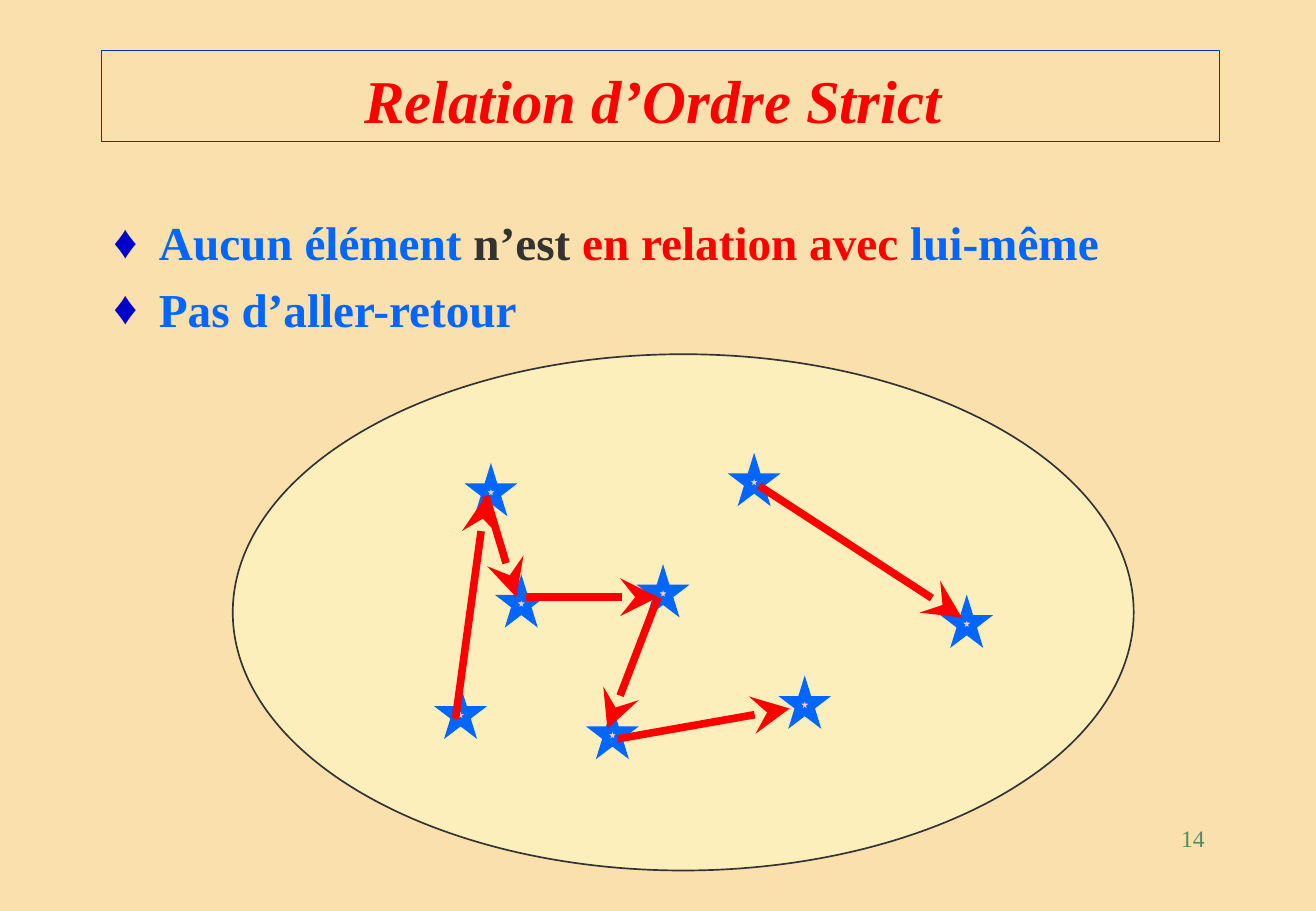
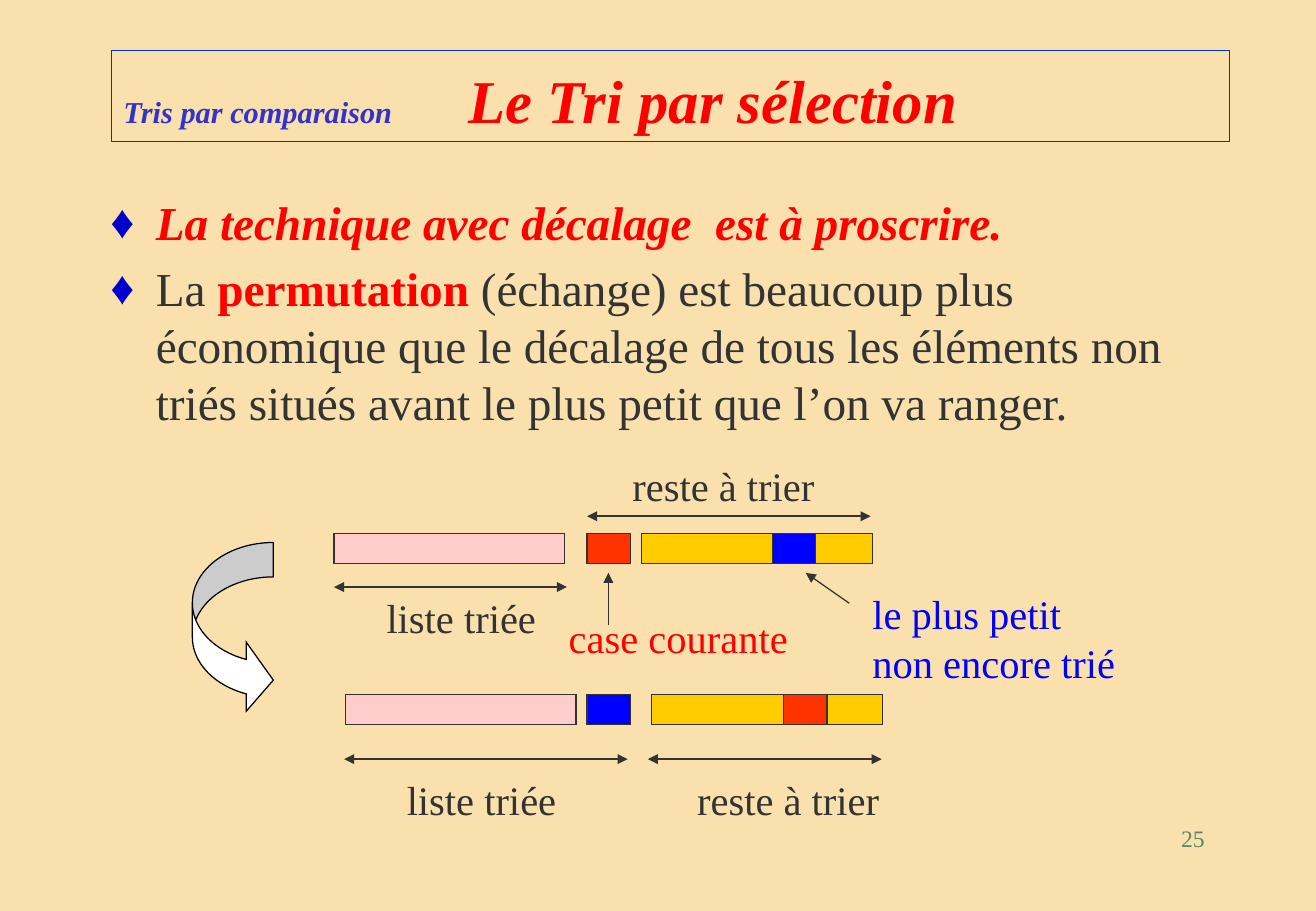
from pptx import Presentation
from pptx.dml.color import RGBColor
from pptx.enum.shapes import MSO_CONNECTOR as Conn, MSO_SHAPE as Shape
from pptx.enum.text import MSO_ANCHOR as Anchor, MSO_AUTO_SIZE as Auto, PP_ALIGN as Align
from pptx.oxml.ns import qn
from pptx.util import Emu, Pt
from lxml.etree import SubElement

PX = 7620  # EMU per px, 120 px to the inch
FONT = "Times New Roman"

SAND = RGBColor(0xF9, 0xE0, 0xAD)
CREAM = RGBColor(0xFF, 0xFF, 0xCC)
PINK = RGBColor(0xFF, 0xCC, 0xCC)
GOLD = RGBColor(0xFF, 0xCC, 0x00)
BRICK = RGBColor(0xFF, 0x33, 0x00)
RED = RGBColor(0xFF, 0x00, 0x00)
BLUE = RGBColor(0x00, 0x00, 0xFF)
SKY = RGBColor(0x00, 0x66, 0xFF)
ROYAL = RGBColor(0x00, 0x33, 0xCC)
INDIGO = RGBColor(0x33, 0x33, 0xCC)
NAVY = RGBColor(0x00, 0x00, 0xCC)
GREEN = RGBColor(0x57, 0x89, 0x63)
DARK = RGBColor(0x33, 0x33, 0x33)
BLACK = RGBColor(0x00, 0x00, 0x00)
WHITE = RGBColor(0xFF, 0xFF, 0xFF)

# Text formats
BOLD = {"bold": True, "italic": False}
BOTH = {"bold": True, "italic": True}
PLAIN = {"bold": False, "italic": False}

# Arrowheads
BARB = {"type": "stealth", "w": "lg", "len": "lg"}
TIP = {"type": "triangle"}

# Slide 1: a relation drawn as arrows between stars
ORDER = {
    "number": "14",
    "title": [("Relation d’Ordre Strict ", 36, RED, BOTH)],
    "align": Align.CENTER,
    "left": 100,
    "body": (100, 205, 1150, 652),
    "list": [
        [("Aucun élément", 28, SKY, BOLD), (" n’est ", 28, DARK, BOLD),
         ("en relation avec ", 28, RED, BOLD), ("lui-même", 28, SKY, BOLD)],
        [("Pas d’aller-retour", 28, SKY, BOLD)],
    ],
}
STARS = [(470, 470), (730, 460), (500, 580), (940, 600),
         (440, 690), (780, 680), (640, 570), (590, 710)]
LINKS = [(480, 490, 510, 590), (520, 590, 650, 590), (650, 590, 600, 720),
         (610, 730, 780, 700), (750, 480, 950, 610), (450, 710, 480, 490)]

# Slide 2: the list before and after the swap
SORT = {
    "number": "25",
    "title": [("Tris par comparaison\t", 18, INDIGO, BOTH),
              ("Le Tri par sélection", 36, RED, BOTH)],
    "align": Align.LEFT,
    "left": 110,
    "body": (97, 185, 1133, 652),
    "list": [
        [("La technique avec décalage  est à proscrire.", 28, RED, BOTH)],
        [("La ", 28, DARK, PLAIN), ("permutation", 28, RED, BOLD),
         (" (échange) est beaucoup plus économique que le décalage de tous "
          "les éléments non triés situés avant le plus petit que l’on va "
          "ranger.", 28, DARK, PLAIN)],
    ],
}
TAB = 341
LONG, CELL, TALL = 228, 43, 30
# top, then (left, width, fill) of each bar
ROWS = [
    (527, [(330, LONG, PINK), (580, CELL, BRICK), (634, LONG, GOLD), (763, CELL, BLUE)]),
    (686, [(341, LONG, PINK), (580, CELL, BLUE), (644, LONG, GOLD), (774, CELL, BRICK)]),
]
SPANS = [(580, 510, 860, 510), (330, 580, 560, 580),
         (340, 750, 620, 750), (640, 750, 871, 750)]
HINTS = [(601, 617, 601, 566), (839, 596, 796, 566)]
LABELS = [
    (["le plus petit", "non encore trié"], (850, 576, 264, 148), BLUE),
    (["liste triée"], (370, 580, 172, 60), DARK),
    (["liste triée"], (390, 760, 172, 60), DARK),
    (["case courante"], (550, 600, 244, 60), RED),
    (["reste à trier"], (677, 760, 204, 60), DARK),
    (["reste à trier"], (613, 450, 204, 60), DARK),
]


def px(*nums):
    return [Emu(n * PX) for n in nums]


def place(item, box):
    for name, val in zip(("left", "top", "width", "height"), px(*box)):
        setattr(item, name, val)


def write(para, runs):
    for text, size, color, style in runs:
        run = para.add_run()
        run.text = text
        for name, val in {"name": FONT, "size": Pt(size), **style}.items():
            setattr(run.font, name, val)
        run.font.color.rgb = color


def stroke(line, color, width):
    line.color.rgb = color
    line.width = Pt(width)


def draw(slide, kind, box, fill, edge, width):
    item = slide.shapes.add_shape(kind, *px(*box))
    item.shadow.inherit = False
    item.fill.solid()
    item.fill.fore_color.rgb = fill
    stroke(item.line, edge, width)
    # Sharp corners
    SubElement(item._element.spPr.find(qn("a:ln")), qn("a:miter"), lim="800000")
    return item


def arrow(slide, ends, color, width, **tips):
    item = slide.shapes.add_connector(Conn.STRAIGHT, *px(*ends))
    stroke(item.line, color, width)
    props = item._element.spPr
    for tip, look in tips.items():  # headEnd comes before tailEnd
        SubElement(props.find(qn("a:ln")), qn("a:" + tip), **look)
    SubElement(props, qn("a:effectLst"))


def label(slide, lines, box, color, size=24, align=Align.LEFT):
    frame = slide.shapes.add_textbox(*px(*box)).text_frame
    frame.word_wrap = False
    frame.auto_size = Auto.SHAPE_TO_FIT_TEXT
    for i, text in enumerate(lines):
        para = frame.add_paragraph() if i else frame.paragraphs[0]
        para.alignment = align
        write(para, [(text, size, color, PLAIN)])
    return frame


def bullet(para):
    props = para._p.get_or_add_pPr()
    props.set("marL", str(45 * PX))
    props.set("indent", str(-45 * PX))
    tint = SubElement(props, qn("a:buClr"))
    SubElement(tint, qn("a:srgbClr"), val=str(NAVY))
    SubElement(props, qn("a:buChar"), char="♦")


def start(deck, data):
    """Add a slide with its number, framed title and list."""
    slide = deck.slides.add_slide(deck.slide_layouts[1])
    title, body = slide.placeholders
    frame = label(slide, [data["number"]], (931, 808, 271, 60), GREEN, 14, Align.RIGHT)
    frame.word_wrap = True
    frame.auto_size = Auto.NONE

    place(title, (data["left"], 50, 1105, 90))
    stroke(title.line, ROYAL, 0.75)
    frame = title.text_frame
    frame.auto_size = Auto.NONE
    frame.vertical_anchor = Anchor.BOTTOM
    para = frame.paragraphs[0]
    para.alignment = data["align"]
    if any("\t" in run[0] for run in data["title"]):
        tabs = SubElement(para._p.get_or_add_pPr(), qn("a:tabLst"))
        SubElement(tabs, qn("a:tab"), pos=str(TAB * PX), algn="l")
    write(para, data["title"])

    place(body, data["body"])
    frame = body.text_frame
    frame.auto_size = Auto.NONE
    for i, runs in enumerate(data["list"]):
        para = frame.add_paragraph() if i else frame.paragraphs[0]
        para.space_before = Pt(5.6 if i else 0)
        bullet(para)
        write(para, runs)
    return slide


def order(deck):
    slide = start(deck, ORDER)
    oval = draw(slide, Shape.OVAL, (230, 350, 890, 510), CREAM, DARK, 1)
    tint = oval._element.spPr.find(qn("a:solidFill"))[0]
    SubElement(tint, qn("a:alpha"), val="50000")
    for left, top in STARS:
        draw(slide, Shape.STAR_5_POINT, (left, top, 30, 30), PINK, SKY, 4.5)
    for ends in LINKS:
        arrow(slide, ends, RED, 4.5, tailEnd=BARB)


def sort(deck):
    slide = start(deck, SORT)
    for top, bars in ROWS:
        for left, width, fill in bars:
            draw(slide, Shape.RECTANGLE, (left, top, width, TALL), fill, DARK, 0.75)
    for lines, box, color in LABELS:
        label(slide, lines, box, color)
    turn = draw(slide, Shape.CURVED_RIGHT_ARROW, (190, 536, 80, 170), WHITE, BLACK, 0.75)
    for i, val in enumerate((0.425, 0.85, 0.333)):
        turn.adjustments[i] = val
    for ends in HINTS:
        arrow(slide, ends, DARK, 0.75, tailEnd=TIP)
    for ends in SPANS:
        arrow(slide, ends, DARK, 1, headEnd=TIP, tailEnd=TIP)


def main():
    deck = Presentation()
    deck.slide_width, deck.slide_height = px(1300, 900)
    back = deck.slide_master.background.fill
    back.solid()
    back.fore_color.rgb = SAND
    order(deck)
    sort(deck)
    deck.save("out.pptx")


if __name__ == "__main__":
    main()
